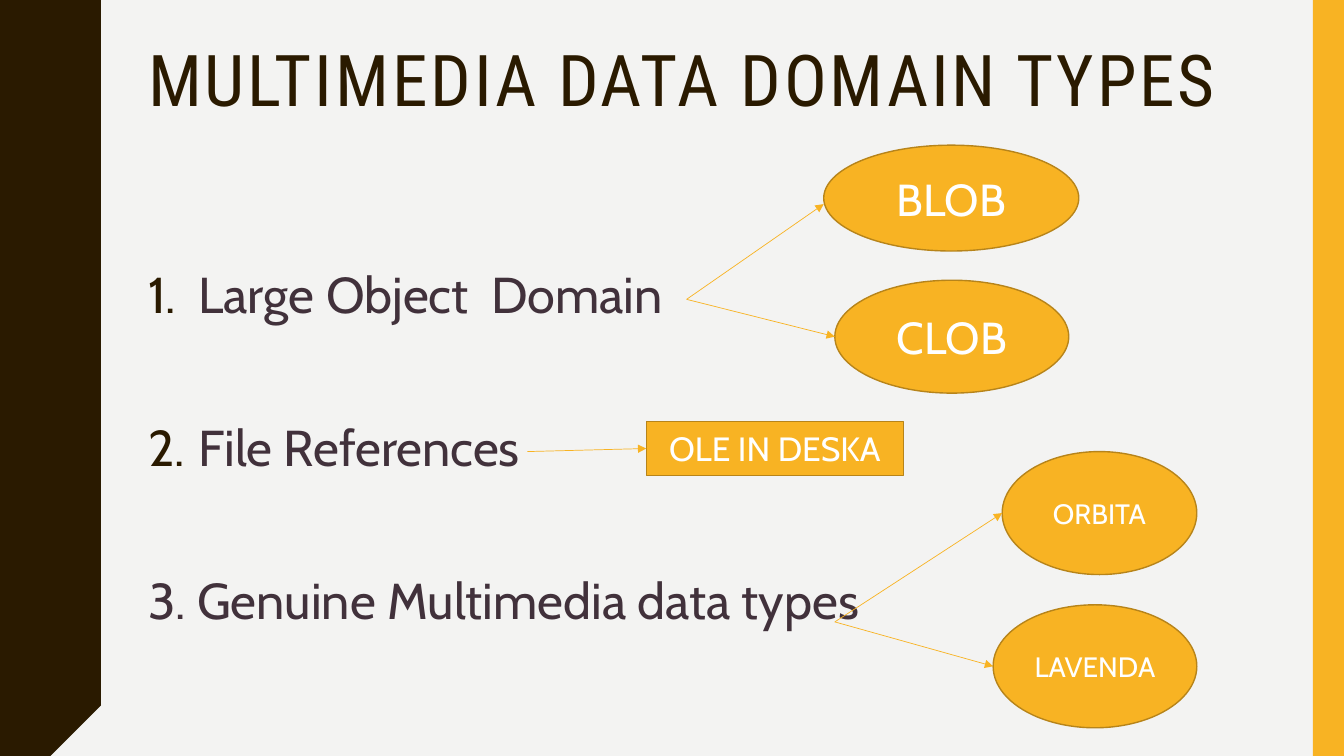
from lxml.etree import SubElement, fromstring
from pptx import Presentation
from pptx.dml.color import RGBColor
from pptx.enum.shapes import MSO_CONNECTOR, MSO_SHAPE
from pptx.enum.text import MSO_ANCHOR, MSO_AUTO_SIZE, PP_ALIGN
from pptx.oxml.ns import nsdecls, qn
from pptx.util import Inches, Pt

WIDTH, HEIGHT = 13.33, 7.5
BROWN, GOLD, GOLD_EDGE = "2A1A00", "F8B323", "B7841A"
PAPER, PLUM, WHITE = "F3F3F2", "41313B", "FFFFFF"

TITLE = "MULTIMEDIA DATA DOMAIN TYPES"
# text, numbered automatically, space before in points
DOMAINS = [
    ("Large Object  Domain", True, 7),
    ("File References", True, 62),
    ("3. Genuine Multimedia data types", False, 62),
]
# arrow start, then examples: text, shape, (left, top, width, height), size, arrow drop
BRANCHES = [
    ((6.81, 2.97), [
        ("BLOB", MSO_SHAPE.OVAL, (8.17, 1.44, 2.53, 1.05), 32, 0.06),
        ("CLOB", MSO_SHAPE.OVAL, (8.28, 2.78, 2.32, 1.12), 32, 0),
    ]),
    ((5.23, 4.48), [
        ("OLE IN DESKA", MSO_SHAPE.RECTANGLE, (6.41, 4.18, 2.55, 0.54), 24, 0),
    ]),
    ((8.28, 6.17), [
        ("ORBITA", MSO_SHAPE.OVAL, (9.94, 4.48, 1.93, 1.22), 20, 0),
        ("LAVENDA", MSO_SHAPE.OVAL, (9.85, 6, 2.02, 1.22), 20, 0),
    ]),
]
# first quarter of one wave; the rest follows by symmetry
WAVE_LENGTH, WAVE_LOW, WAVE_HIGH = 1.5, 0.78, 0.97
QUARTER_WAVE = [(0.78, 0), (0.78, 0.07), (0.79, 0.14), (0.8, 0.2),
                (0.81, 0.25), (0.83, 0.29), (0.85, 0.33), (0.87, 0.38)]


def color(code):
    return RGBColor.from_string(code)


def paint(shape, fill, edge=None):
    shape.shadow.inherit = False
    shape.fill.solid()
    shape.fill.fore_color.rgb = color(fill)
    if edge:
        shape.line.color.rgb = color(edge)
        shape.line.width = Pt(1)
    else:
        shape.line.fill.background()


def style(para, face, size, code):
    para.font.name = face
    para.font.size = Pt(size)
    para.font.color.rgb = color(code)


def font_properties(para):
    return para._p.get_or_add_pPr().find(qn("a:defRPr"))


def number(para):
    """Give the paragraph an automatic number with a hanging indent."""
    properties = para._p.get_or_add_pPr()
    properties.set("marL", str(Inches(0.5)))
    properties.set("indent", str(-Inches(0.5)))
    for xml in (f'<a:buClr {nsdecls("a")}><a:srgbClr val="{BROWN}"/></a:buClr>',
                f'<a:buFont {nsdecls("a")} typeface="+mj-lt"/>',
                f'<a:buAutoNum {nsdecls("a")} type="arabicPeriod"/>'):
        font_properties(para).addprevious(fromstring(xml))


def add_wave(page):
    middle = WAVE_LOW + WAVE_HIGH
    half = QUARTER_WAVE + [(middle - x, WAVE_LENGTH / 2 - y)
                           for x, y in reversed(QUARTER_WAVE)]
    wave = half + [(x, WAVE_LENGTH - y) for x, y in reversed(half[1:])]
    edge = [(x, y + turn * WAVE_LENGTH)
            for turn in range(round(HEIGHT / WAVE_LENGTH)) for x, y in wave]
    builder = page.shapes.build_freeform(0, 0, scale=Inches(1))
    builder.add_line_segments(edge + [(0, HEIGHT)], close=True)
    paint(builder.convert_to_shape(), BROWN)


def add_title(page):
    title = page.shapes.title
    title.left, title.top, title.width, title.height = map(Inches, (1.37, 0.39, 11.13, 1.63))
    frame = title.text_frame
    frame.text = TITLE
    frame.word_wrap = True
    frame.auto_size = MSO_AUTO_SIZE.NONE
    frame.vertical_anchor = MSO_ANCHOR.TOP
    para = frame.paragraphs[0]
    para.alignment = PP_ALIGN.LEFT
    para.line_spacing = 0.9
    style(para, "Roboto Condensed", 51, BROWN)
    font_properties(para).set("spc", "200")


def add_domains(page):
    box = page.shapes.add_textbox(*map(Inches, (1.37, 2.5, 10.89, 3.96)))
    frame = box.text_frame
    frame.word_wrap = True
    for index, (text, numbered, gap) in enumerate(DOMAINS):
        para = frame.add_paragraph() if index else frame.paragraphs[0]
        para.text = text
        para.line_spacing = 1.1
        para.space_before = Pt(gap)
        style(para, "Cabin", 36, PLUM)
        if numbered:
            number(para)


def add_example(page, text, kind, place, size):
    shape = page.shapes.add_shape(kind, *map(Inches, place))
    paint(shape, GOLD, GOLD_EDGE)
    frame = shape.text_frame
    frame.text = text
    frame.vertical_anchor = MSO_ANCHOR.MIDDLE
    para = frame.paragraphs[0]
    para.alignment = PP_ALIGN.CENTER
    style(para, "Cabin", size, WHITE)
    return shape


def add_arrow(page, start, end):
    arrow = page.shapes.add_connector(MSO_CONNECTOR.STRAIGHT, *map(Inches, start + end))
    arrow.line.color.rgb = color(GOLD)
    arrow.line.width = Pt(0.5)
    SubElement(arrow.line._get_or_add_ln(), qn("a:tailEnd"), type="triangle")
    SubElement(arrow._element.spPr, qn("a:effectLst"))
    return arrow


def main():
    deck = Presentation()
    deck.slide_width, deck.slide_height = Inches(WIDTH), Inches(HEIGHT)
    page = deck.slides.add_slide(deck.slide_layouts[5])
    page.background.fill.solid()
    page.background.fill.fore_color.rgb = color(PAPER)

    add_wave(page)
    band = page.shapes.add_shape(MSO_SHAPE.RECTANGLE, Inches(13.02), 0,
                                 Inches(WIDTH - 13.02), Inches(HEIGHT))
    paint(band, GOLD)
    add_title(page)
    add_domains(page)
    for start, examples in BRANCHES:
        for text, kind, place, size, drop in examples:
            shape = add_example(page, text, kind, place, size)
            left, top, _, height = place
            arrow = add_arrow(page, start, (left, top + height / 2 + drop))
            if kind == MSO_SHAPE.RECTANGLE:
                arrow.end_connect(shape, 1)
    deck.save("out.pptx")


if __name__ == "__main__":
    main()
